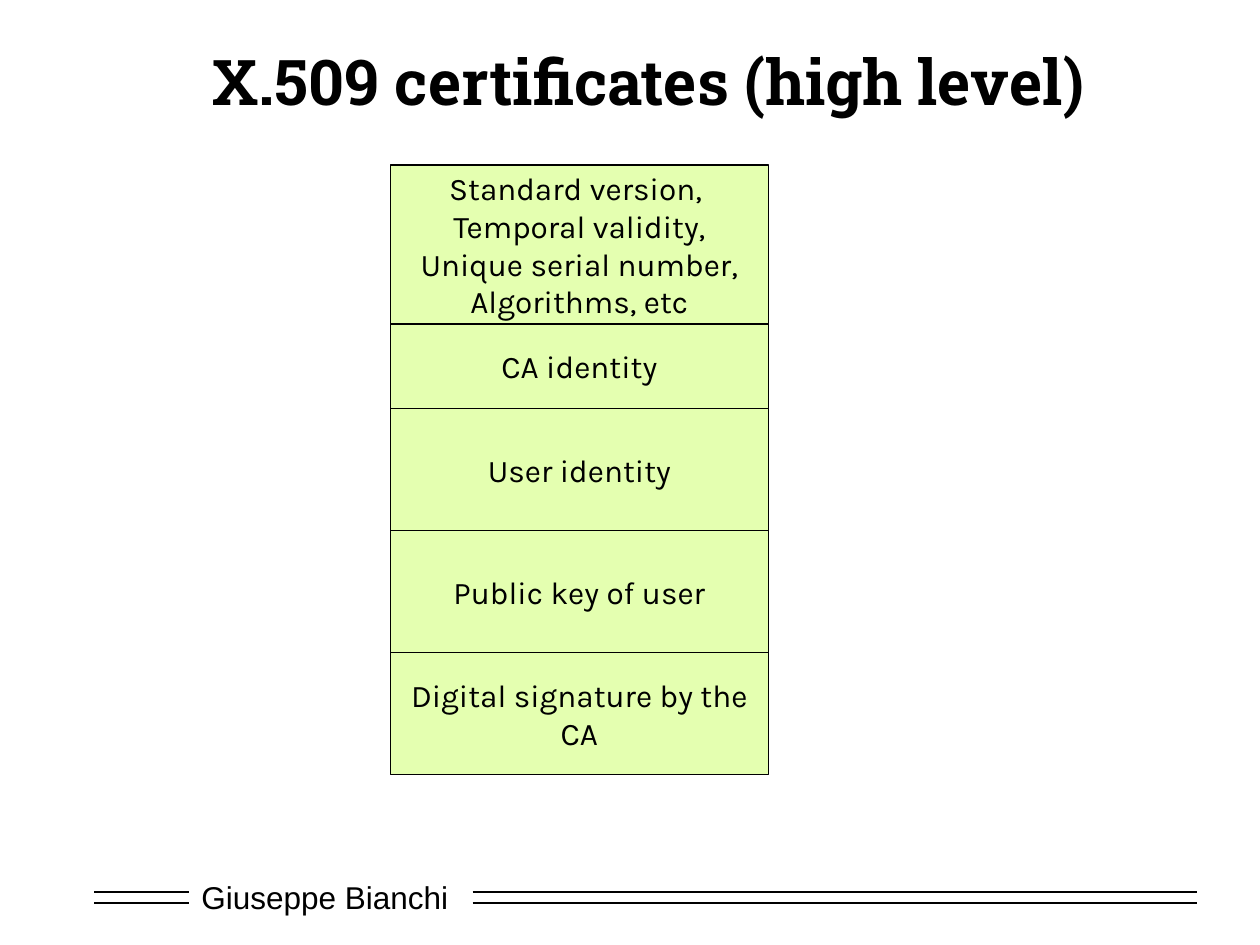
from dataclasses import dataclass

from lxml import etree
from pptx import Presentation
from pptx.dml.color import RGBColor
from pptx.enum.shapes import MSO_CONNECTOR, MSO_SHAPE
from pptx.enum.text import MSO_ANCHOR, PP_ALIGN
from pptx.oxml.ns import qn
from pptx.util import Cm, Pt

RECTANGLE = MSO_SHAPE.RECTANGLE
STRAIGHT = MSO_CONNECTOR.STRAIGHT
MIDDLE = MSO_ANCHOR.MIDDLE
LEFT, CENTER = PP_ALIGN.LEFT, PP_ALIGN.CENTER
TITLE_ONLY = 5


@dataclass(frozen=True)
class Theme:
    ink: RGBColor = RGBColor(0x00, 0x00, 0x00)
    paper: RGBColor = RGBColor(0xFF, 0xFF, 0xFF)
    field: RGBColor = RGBColor(0xE4, 0xFF, 0xB0)
    title_font: str = "Roboto Slab"
    body_font: str = "Karla"
    footer_font: str = "Arial"
    title_size: Pt = Pt(36)
    body_size: Pt = Pt(18)
    border: Pt = Pt(0.75)
    rule: Pt = Pt(1)


THEME = Theme()

# Certificate fields from top to bottom: text and height in cm
FIELDS = [
    ("Standard version, \nTemporal validity,\nUnique serial number,\nAlgorithms, etc", 3.2),
    ("CA identity", 1.71),
    ("User identity", 2.46),
    ("Public key of user", 2.46),
    ("Digital signature by the CA", 2.46),
]


def write_text(shape, text, font, size, align, bold=False):
    frame = shape.text_frame
    frame.text = text
    frame.word_wrap = True
    frame.vertical_anchor = MIDDLE
    for para in frame.paragraphs:
        para.alignment = align
        for span in para.runs:
            span.font.name = font
            span.font.size = size
            span.font.bold = bold
            span.font.color.rgb = THEME.ink


def add_title(page, text):
    title = page.shapes.title
    title.left, title.top = Cm(0.76), Cm(0.03)
    title.width, title.height = Cm(24.64), Cm(3.18)
    write_text(title, text, THEME.title_font, THEME.title_size, CENTER, bold=True)


def add_box(page, left, top, width, height, fill):
    box = page.shapes.add_shape(RECTANGLE, Cm(left), Cm(top), Cm(width), Cm(height))
    box.shadow.inherit = False
    box.fill.solid()
    box.fill.fore_color.rgb = fill
    box.line.fill.background()
    return box


def add_field(page, text, top, height):
    box = add_box(page, 7.87, top, 7.62, height, THEME.field)
    box.line.color.rgb = THEME.ink
    box.line.width = THEME.border
    frame = box.text_frame
    frame.margin_left = frame.margin_right = Cm(0.28)
    frame.margin_top = frame.margin_bottom = Cm(0.15)
    write_text(box, text, THEME.body_font, THEME.body_size, CENTER)


def add_rule(page, start, end, y):
    rule = page.shapes.add_connector(STRAIGHT, Cm(start), Cm(y), Cm(end), Cm(y))
    rule.line.color.rgb = THEME.ink
    rule.line.width = THEME.rule
    etree.SubElement(rule._element.spPr, qn("a:effectLst"))


def add_footer(page, author):
    box = add_box(page, 3.81, 17.58, 5.51, 1.02, THEME.paper)
    write_text(box, author, THEME.footer_font, THEME.body_size, LEFT)
    # Double rule on both sides of the name
    for y in (17.99, 18.2):
        for start, end in ((1.9, 3.81), (9.53, 24.13)):
            add_rule(page, start, end, y)


def main():
    deck = Presentation()
    deck.slide_width, deck.slide_height = Cm(25.4), Cm(19.05)
    page = deck.slides.add_slide(deck.slide_layouts[TITLE_ONLY])

    add_footer(page, "Giuseppe Bianchi")
    add_title(page, "X.509 certificates (high level)")

    # Stack the fields without gaps
    top = 3.33
    for text, height in FIELDS:
        add_field(page, text, top, height)
        top += height

    deck.save("out.pptx")


if __name__ == "__main__":
    main()
